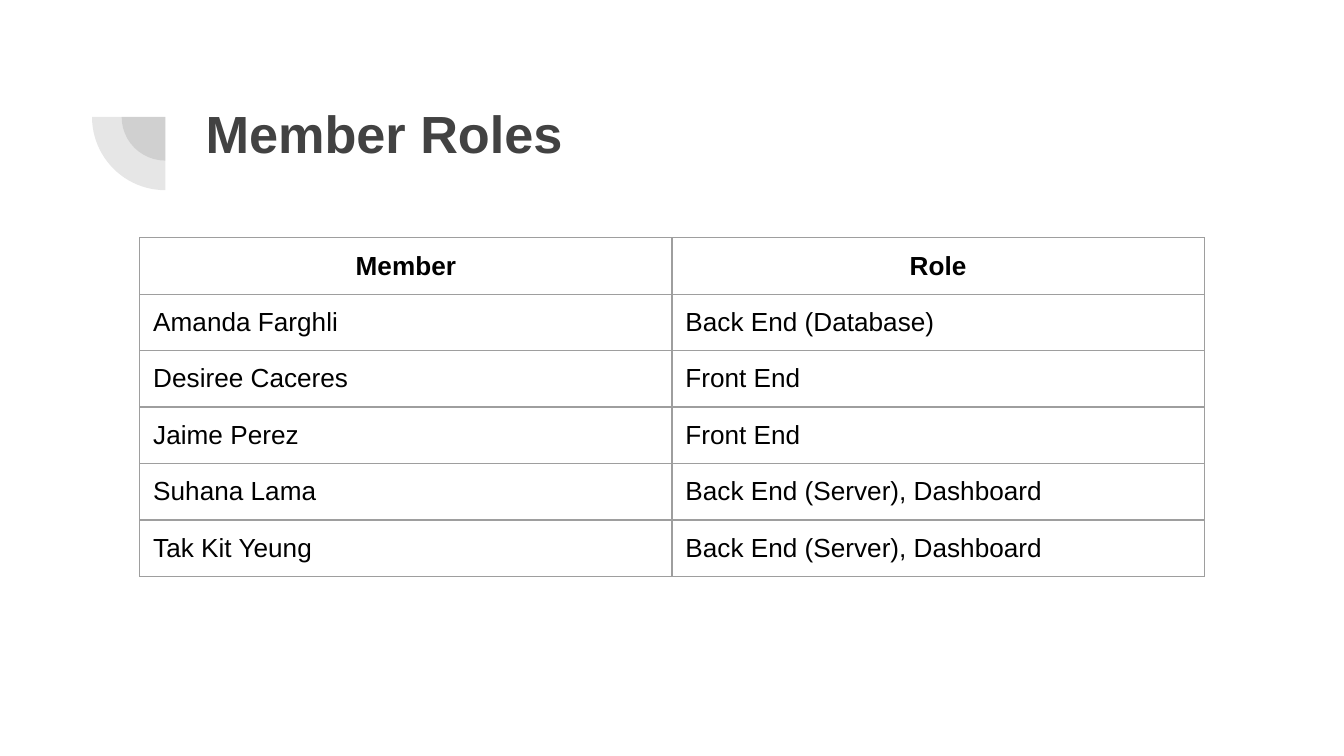
from lxml import etree
from pptx import Presentation
from pptx.dml.color import RGBColor
from pptx.enum import shapes, text
from pptx.oxml import ns
from pptx.util import Inches, Pt

# Content
TITLE = "Member Roles"
ROWS = [
    ("Member", "Role"),
    ("Amanda Farghli", "Back End (Database)"),
    ("Desiree Caceres", "Front End"),
    ("Jaime Perez", "Front End"),
    ("Suhana Lama", "Back End (Server), Dashboard"),
    ("Tak Kit Yeung", "Back End (Server), Dashboard"),
]
COLORS = {"title": "424242", "body": "000000", "border": "9E9E9E"}
FONT = "Arial"
PIE_CENTER = (1.23, 0.87)
PIE_SIZES = (0.65, 1.09)
COL_W, ROW_H = 3.96, 0.42


def add_run(p, words, size, color, bold):
    r = p.add_run()
    r.text = words
    r.font.name = FONT
    r.font.size = Pt(size)
    r.font.bold = bold
    r.font.color.rgb = RGBColor.from_string(COLORS[color])


def set_margins(box):
    box.margin_left = box.margin_right = Inches(0.1)
    box.margin_top = box.margin_bottom = Inches(0.1)


def add_borders(cell):
    tc_pr = cell._tc.get_or_add_tcPr()
    for i, side in enumerate(("lnL", "lnR", "lnT", "lnB")):
        ln = etree.Element(ns.qn("a:" + side), w=str(Pt(0.75)))
        fill = etree.SubElement(ln, ns.qn("a:solidFill"))
        etree.SubElement(fill, ns.qn("a:srgbClr"), val=COLORS["border"])
        tc_pr.insert(i, ln)


# Widescreen 16:9 slide
prs = Presentation()
prs.slide_width = Inches(10)
prs.slide_height = Inches(10 * 9 / 16)
s = prs.slides.add_slide(prs.slide_layouts[5])

# Concentric quarter circles
for size in PIE_SIZES:
    left, top = (Inches(c - size / 2) for c in PIE_CENTER)
    sp = s.shapes.add_shape(shapes.MSO_SHAPE.PIE, left, top, Inches(size), Inches(size))
    sp.adjustments[0], sp.adjustments[1] = 108, 162
    sp.rotation = 270
    sp.shadow.inherit = False
    sp.line.fill.background()
    sp.fill.solid()
    sp.fill.fore_color.rgb = RGBColor.from_string(COLORS["title"])
    clr = sp._element.spPr.find(ns.qn("a:solidFill"))[0]
    etree.SubElement(clr, ns.qn("a:alpha"), val="13000")

# Title
title = s.shapes.title
title.left, title.top = Inches(1.43), Inches(0.65)
title.width, title.height = Inches(7.69), Inches(1.09)
tf = title.text_frame
tf.word_wrap = True
tf.auto_size = text.MSO_AUTO_SIZE.NONE
tf.vertical_anchor = text.MSO_ANCHOR.TOP
set_margins(tf)
tf.paragraphs[0].alignment = text.PP_ALIGN.LEFT
add_run(tf.paragraphs[0], TITLE, 28, "title", True)

# Table of members and roles
n_rows, n_cols = len(ROWS), len(ROWS[0])
table = s.shapes.add_table(n_rows, n_cols, Inches(1.04), Inches(1.77),
                           Inches(COL_W * n_cols), Inches(ROW_H * n_rows)).table
table.horz_banding = False
for col in table.columns:
    col.width = Inches(COL_W)
for i, row in enumerate(ROWS):
    table.rows[i].height = Inches(ROW_H)
    header = i == 0
    for j, words in enumerate(row):
        cell = table.cell(i, j)
        set_margins(cell)
        cell.fill.background()
        add_borders(cell)
        p = cell.text_frame.paragraphs[0]
        p.alignment = text.PP_ALIGN.CENTER if header else text.PP_ALIGN.LEFT
        add_run(p, words, 14, "body", header)

prs.save("out.pptx")
